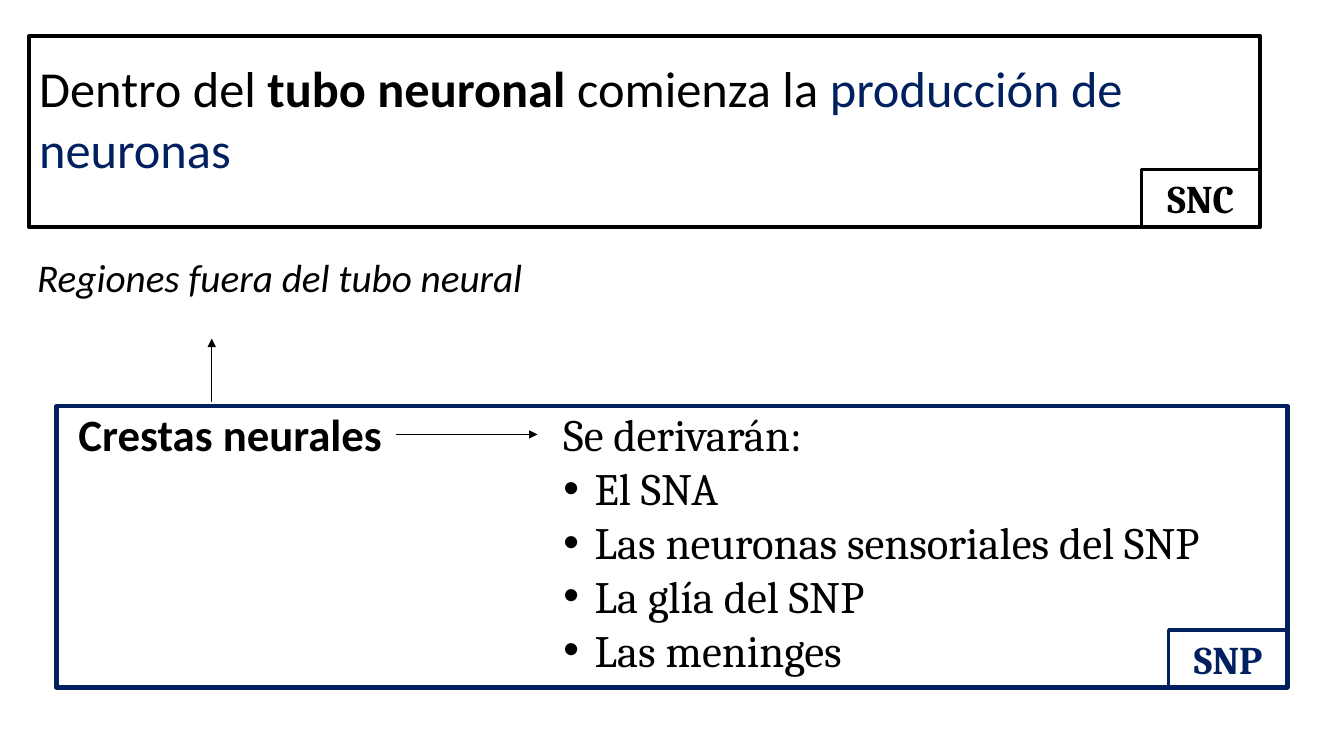
from lxml import etree
from pptx import Presentation
from pptx.dml.color import RGBColor
from pptx.enum.shapes import MSO_CONNECTOR, MSO_SHAPE
from pptx.enum.text import MSO_ANCHOR, MSO_AUTO_SIZE, PP_ALIGN
from pptx.oxml.ns import qn
from pptx.util import Inches, Pt

BLACK = RGBColor(0x00, 0x00, 0x00)
NAVY = RGBColor(0x00, 0x20, 0x60)
BODY, SERIF = "Calibri", "Cambria"
TAG_WIDTH, TAG_HEIGHT = 1.18, 0.57
BULLET_INDENT = 0.31


def add_run(paragraph, text, **format_values):
    run = paragraph.add_run()
    run.text = text
    color = format_values.pop("color", BLACK)
    for name, value in format_values.items():
        setattr(run.font, name, value)
    run.font.color.rgb = color


def add_text(slide, left, top, width, height):
    box = slide.shapes.add_textbox(*map(Inches, (left, top, width, height)))
    box.text_frame.word_wrap = True
    box.text_frame.auto_size = MSO_AUTO_SIZE.SHAPE_TO_FIT_TEXT
    return box


def add_bullet(paragraph):
    properties = paragraph._p.get_or_add_pPr()
    properties.set("marL", str(Inches(BULLET_INDENT)))
    properties.set("indent", str(-Inches(BULLET_INDENT)))
    etree.SubElement(properties, qn("a:buFont"), typeface="Arial")
    etree.SubElement(properties, qn("a:buChar"), char="•")


def add_outline(slide, left, top, width, height, color, weight):
    outline = slide.shapes.add_shape(
        MSO_SHAPE.RECTANGLE, *map(Inches, (left, top, width, height)))
    outline.shadow.inherit = False
    outline.fill.background()
    outline.line.color.rgb = color
    outline.line.width = Pt(weight)
    return outline


def add_tagged_frame(slide, left, top, width, height, tag_text, color):
    """Outline a region and label it in its bottom right corner."""
    add_outline(slide, left, top, width, height, color, 3)
    tag = add_outline(slide, left + width - TAG_WIDTH, top + height - TAG_HEIGHT,
                      TAG_WIDTH, TAG_HEIGHT, color, 2.25)
    tag.text_frame.vertical_anchor = MSO_ANCHOR.MIDDLE
    paragraph = tag.text_frame.paragraphs[0]
    paragraph.alignment = PP_ALIGN.CENTER
    add_run(paragraph, tag_text, name=SERIF, size=Pt(28), bold=True, color=color)


def add_arrow(slide, start, end):
    arrow = slide.shapes.add_connector(
        MSO_CONNECTOR.STRAIGHT, *map(Inches, (*start, *end)))
    arrow.line.color.rgb = BLACK
    arrow.line.width = Pt(0.5)
    etree.SubElement(arrow.line._get_or_add_ln(), qn("a:tailEnd"), type="triangle")
    etree.SubElement(arrow._element.spPr, qn("a:effectLst"))
    return arrow


def add_central_region(slide, left, top, width, height):
    add_tagged_frame(slide, left, top, width, height, "SNC", BLACK)
    statement = add_text(slide, left, top + 0.16, width, 1.31)
    paragraph = statement.text_frame.paragraphs[0]
    for text, emphasis in (
        ("Dentro del ", {}),
        ("tubo neuronal ", {"bold": True}),
        ("comienza la ", {}),
        ("producción de neuronas", {"color": NAVY}),
    ):
        add_run(paragraph, text, name=BODY, size=Pt(36), **emphasis)


def add_outer_regions_note(slide, left, top, width, height):
    note = add_text(slide, left, top, width, height)
    add_run(note.text_frame.paragraphs[0], "Regiones fuera del tubo neural",
            name=BODY, size=Pt(28), italic=True)


def add_peripheral_region(slide, left, top, width, height):
    add_tagged_frame(slide, left, top, width, height, "SNP", NAVY)
    text_top = top - 0.04
    crests = add_text(slide, left + 0.12, text_top, 3.25, 0.64)
    add_run(crests.text_frame.paragraphs[0], "Crestas neurales",
            name=BODY, size=Pt(32), bold=True)

    derived = add_text(slide, left + 4.93, text_top, 6.61, height).text_frame
    for index, text in enumerate((
        "Se derivarán:",
        "El SNA",
        "Las neuronas sensoriales del SNP",
        "La glía del SNP",
        "Las meninges",
    )):
        paragraph = derived.add_paragraph() if index else derived.paragraphs[0]
        if index:
            add_bullet(paragraph)
        add_run(paragraph, text, name=SERIF, size=Pt(32))

    arrow_y = text_top + 0.32
    to_derived = add_arrow(slide, (left + 3.37, arrow_y), (left + 4.77, arrow_y))
    to_derived.begin_connect(crests, 3)
    add_arrow(slide, (left + 1.54, text_top), (left + 1.54, text_top - 0.63))


def main():
    presentation = Presentation()
    presentation.slide_width = Inches(13.33)
    presentation.slide_height = Inches(7.5)
    slide = presentation.slides.add_slide(presentation.slide_layouts[6])
    add_central_region(slide, 0.29, 0.36, 12.21, 1.89)
    add_outer_regions_note(slide, 0.27, 2.46, 5.12, 0.57)
    add_peripheral_region(slide, 0.56, 4.03, 12.21, 2.79)
    presentation.save("out.pptx")


if __name__ == "__main__":
    main()
